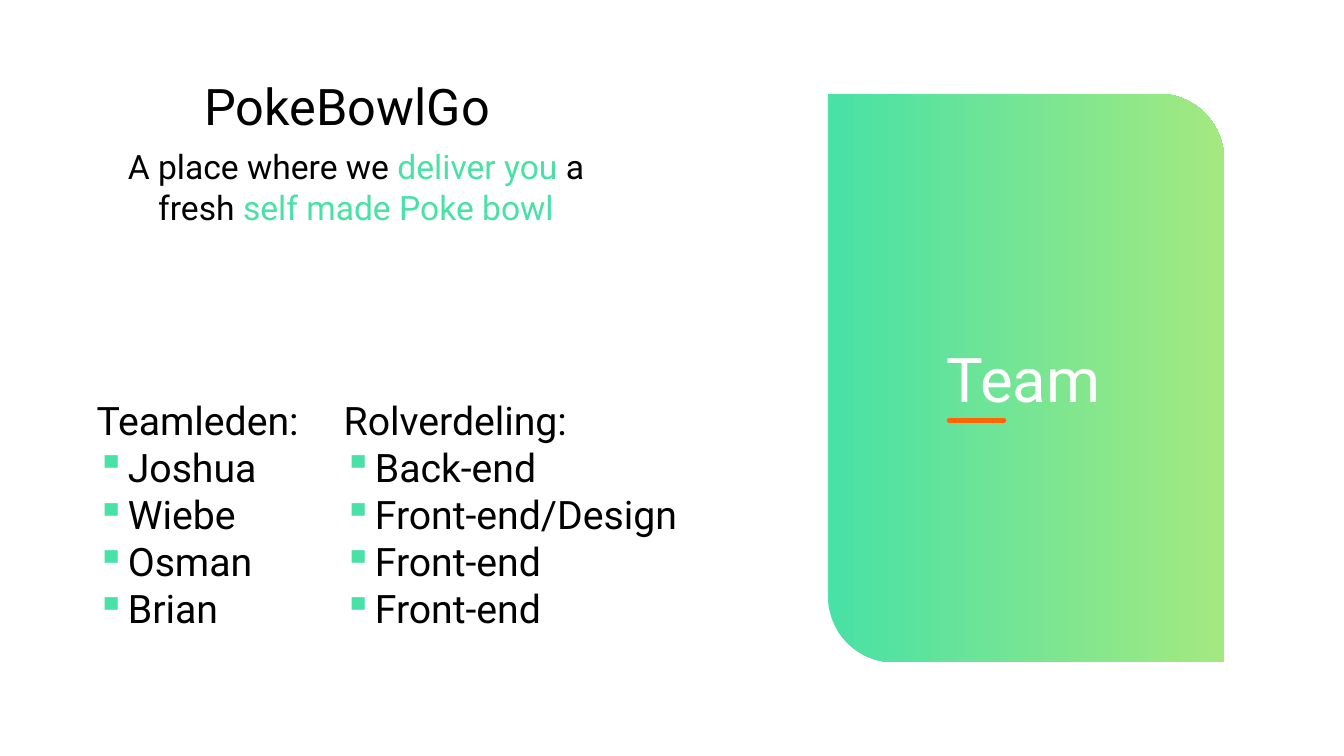
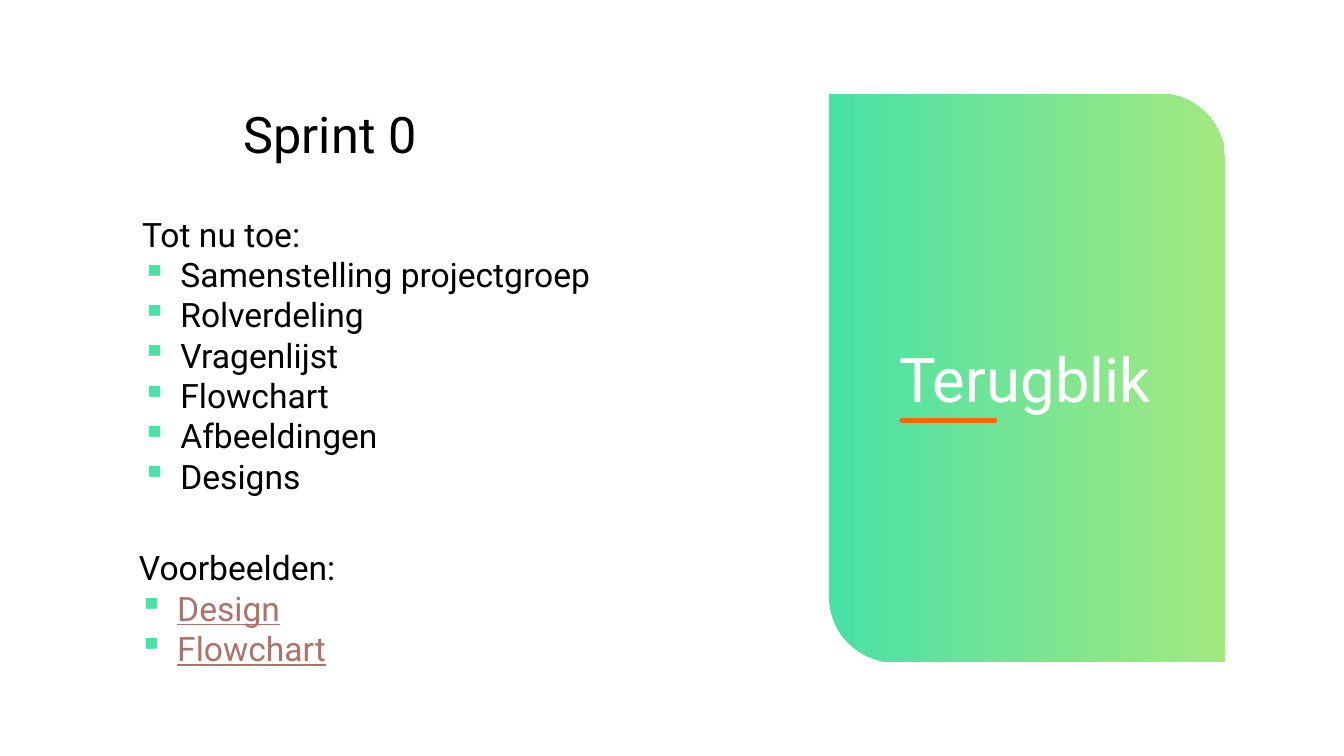
from dataclasses import dataclass
from lxml import etree
from pptx import Presentation, util as u
from pptx.dml.color import RGBColor
from pptx.enum import shapes, text
from pptx.oxml.ns import qn


@dataclass(frozen=True)
class Theme:
    font: str = "Roboto"
    ink: str = "000000"
    mint: str = "48E1A6"
    lime: str = "A4E980"
    mark: str = "FF6502"
    link: str = "AE7269"
    white: str = "FFFFFF"
    title: int = 36
    label: int = 44
    list: int = 28
    body: int = 24
    rule: float = 3.75


T = Theme()

# Content: boxes are (left, top, width, height) in percent of the slide
SLIDES = [
    dict(
        title=("PokeBowlGo", (14.48, 9.33, 23.93, 9.47)),
        panel=61.6,
        label=("Team", 69.69, 13.35, 4.05),
        tag=([("A place where we ", T.ink), ("deliver you", T.mint),
              (" a fresh", T.ink), (" self made Poke bowl", T.mint)],
             (6.68, 18.67, 39.61, 12.13)),
        lists=[
            dict(head="Teamleden:", items=["Joshua", "Wiebe", "Osman", "Brian"],
                 box=(6.45, 51.73, 16.95, 32.8), size=T.list, dent=0.31),
            dict(head="Rolverdeling:",
                 items=["Back-end", "Front-end/Design", "Front-end", "Front-end"],
                 box=(24.83, 51.73, 27.46, 32.8), size=T.list, dent=0.31),
        ],
    ),
    dict(
        title=("Sprint 0", (17.4, 12.93, 15, 9.47)),
        panel=61.67,
        label=("Terugblik", 66.17, 20.48, 6.9),
        lists=[
            dict(head="Tot nu toe:",
                 items=["Samenstelling projectgroep", "Rolverdeling", "Vragenlijst",
                        "Flowchart", "Afbeeldingen", "Designs"],
                 box=(9.83, 27.6, 40.13, 39.07), size=T.body, dent=0.38),
            dict(head="Voorbeelden:", items=["Design", "Flowchart"],
                 box=(9.6, 71.73, 16.35, 17.47), size=T.body, dent=0.38,
                 color=T.link, under=True, wrap=False),
        ],
    ),
]

# Shared layout of the panel, in percent
PANEL_TOP, PANEL_W, PANEL_H = 12.4, 29.48, 75.2
LABEL_TOP, LABEL_H = 44.4, 11.2
RULE_DX = 0.94

deck = Presentation()
deck.slide_width, deck.slide_height = u.Inches(13.33), u.Inches(7.5)


def place(box):
    sides = (deck.slide_width, deck.slide_height) * 2
    return [round(part * side / 100) for part, side in zip(box, sides)]


# Text helpers
def add_run(para, words, size, color, under=False):
    run = para.add_run()
    run.text = words
    font = run.font
    font.name, font.size = T.font, u.Pt(size)
    font.color.rgb = RGBColor.from_string(color)
    if under:
        font.underline = True


def add_box(slide, box, wrap=True):
    frame = slide.shapes.add_textbox(*place(box)).text_frame
    frame.word_wrap = wrap
    frame.auto_size = text.MSO_AUTO_SIZE.SHAPE_TO_FIT_TEXT
    return frame


def add_line(slide, box, words, size, color):
    add_run(add_box(slide, box).paragraphs[0], words, size, color)


def set_bullet(para, dent):
    props = para._p.get_or_add_pPr()
    props.set("marL", str(u.Inches(dent)))
    props.set("indent", str(-u.Inches(dent)))
    tint = etree.SubElement(props, qn("a:buClr"))
    etree.SubElement(tint, qn("a:srgbClr"), val=T.mint)
    etree.SubElement(props, qn("a:buChar"), char="▪")


def add_list(slide, head, items, box, size, dent, color=T.ink, under=False, wrap=True):
    frame = add_box(slide, box, wrap)
    add_run(frame.paragraphs[0], head, size, T.ink)
    for item in items:
        para = frame.add_paragraph()
        set_bullet(para, dent)
        add_run(para, item, size, color, under)


def add_tag(slide, parts, box):
    para = add_box(slide, box).paragraphs[0]
    para.alignment = text.PP_ALIGN.CENTER
    for words, color in parts:
        add_run(para, words, T.body, color)


# Gradient panel with its label and short rule
def add_panel(slide, left, label):
    panel = slide.shapes.add_shape(
        shapes.MSO_SHAPE.ROUND_2_DIAG_RECTANGLE,
        *place((left, PANEL_TOP, PANEL_W, PANEL_H)))
    panel.shadow.inherit = False
    panel.adjustments[0], panel.adjustments[1] = 0, 0.16667
    panel.line.fill.background()
    panel.fill.gradient()
    panel.fill.gradient_angle = 0
    for stop, at, color in zip(panel.fill.gradient_stops, (0, 1), (T.mint, T.lime)):
        stop.position = at
        stop.color.rgb = RGBColor.from_string(color)

    words, x, width, length = label
    add_line(slide, (x, LABEL_TOP, width, LABEL_H), words, T.label, T.white)
    start, y = x + RULE_DX, LABEL_TOP + LABEL_H
    rule = slide.shapes.add_connector(
        shapes.MSO_CONNECTOR.STRAIGHT, *place((start, y, start + length, y)))
    rule.line.color.rgb = RGBColor.from_string(T.mark)
    rule.line.width = u.Pt(T.rule)
    rule.get_or_add_ln().set("cap", "rnd")
    etree.SubElement(rule._element.spPr, qn("a:effectLst"))


# Build the slides
for page in SLIDES:
    slide = deck.slides.add_slide(deck.slide_layouts[6])
    words, box = page["title"]
    add_line(slide, box, words, T.title, T.ink)
    for block in page["lists"]:
        add_list(slide, **block)
    if "tag" in page:
        add_tag(slide, *page["tag"])
    add_panel(slide, page["panel"], page["label"])

deck.save("out.pptx")
